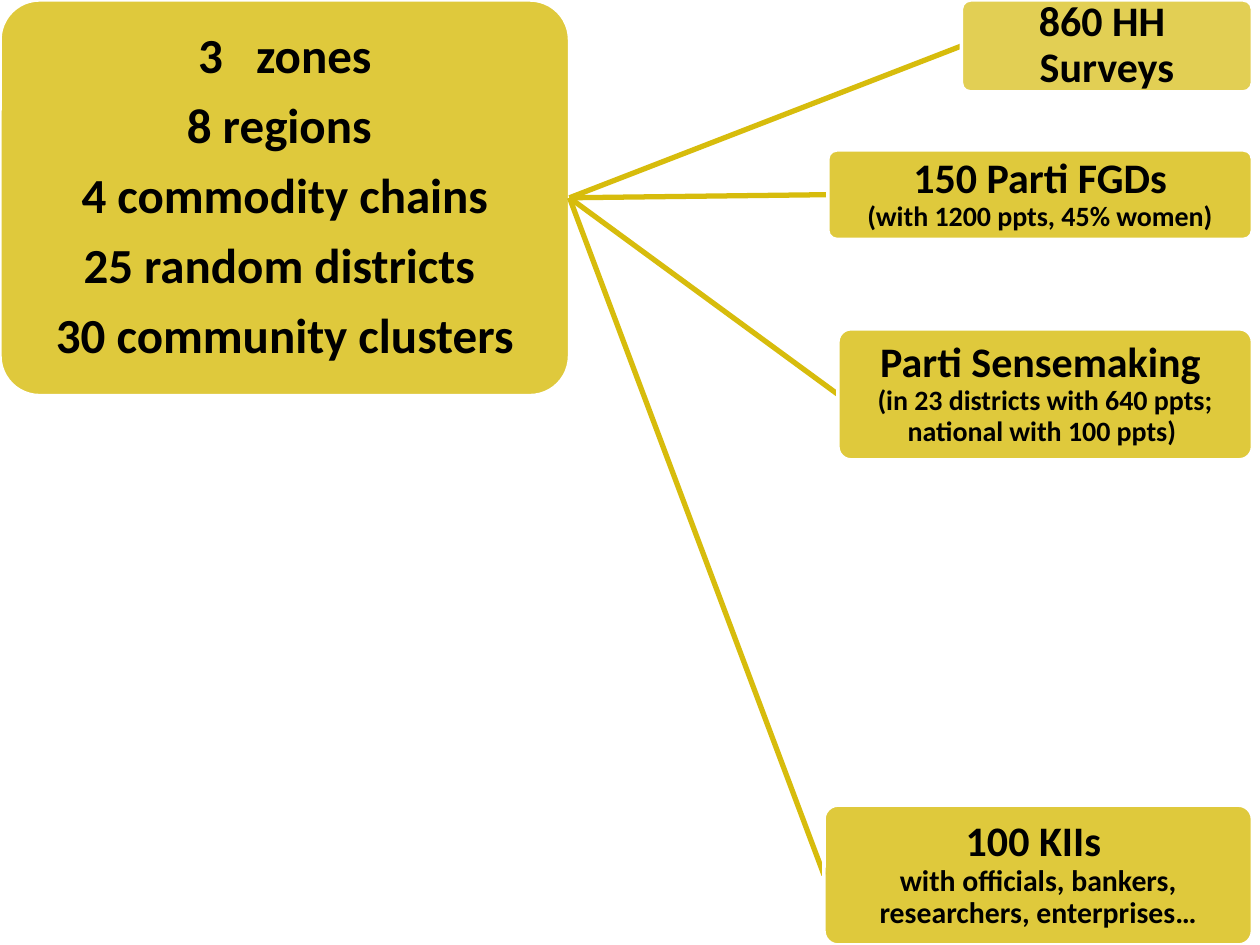
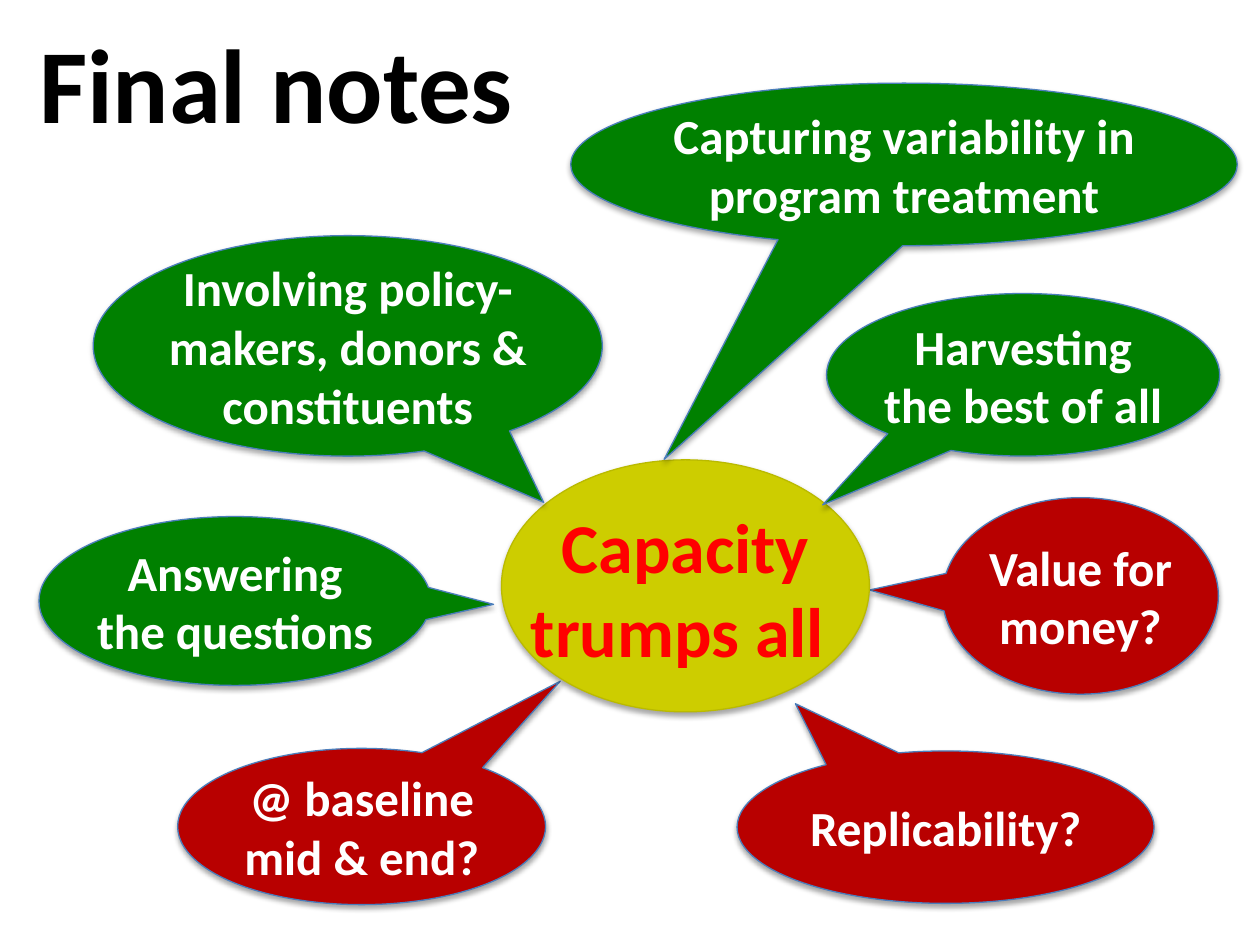
"""Builds two slides: the sampling diagram and the final notes."""
from pptx import Presentation
from pptx.dml.color import RGBColor
from pptx.enum.shapes import MSO_CONNECTOR, MSO_SHAPE
from pptx.enum.text import MSO_ANCHOR, PP_ALIGN
from pptx.oxml import parse_xml
from pptx.oxml.ns import nsdecls, qn
from pptx.util import Inches, Pt

STRAIGHT = MSO_CONNECTOR.STRAIGHT
ROUNDED, ELLIPSE = MSO_SHAPE.ROUNDED_RECTANGLE, MSO_SHAPE.OVAL
CALLOUT = MSO_SHAPE.OVAL_CALLOUT
MIDDLE, TOP = MSO_ANCHOR.MIDDLE, MSO_ANCHOR.TOP
CENTER, LEFT = PP_ALIGN.CENTER, PP_ALIGN.LEFT
FONT = "Calibri"
BLACK, WHITE, RED = "000000", "FFFFFF", "FF0000"
GOLD, GREEN, DARK_RED = "D7BC0C", "008000", "B80000"
YELLOW, OLIVE, BLUE = "CDCD00", "BABA00", "4B7EBC"
SHADOW = (f'<a:outerShdw {nsdecls("a")} blurRad="39370" dist="22860" dir="5400000" rotWithShape="0">'
          '<a:srgbClr val="000000"><a:alpha val="35000"/></a:srgbClr></a:outerShdw>')
TITLE_SHADOW = (f'<a:effectLst {nsdecls("a")}><a:outerShdw blurRad="50800" dist="38100" dir="2700000">'
                '<a:srgbClr val="000000"><a:alpha val="43000"/></a:srgbClr></a:outerShdw></a:effectLst>')


def paint(fill, colour):
    """Make a fill solid in a hex colour."""
    fill.solid()
    fill.fore_color.rgb = RGBColor.from_string(colour)


def write(frame, paragraphs, colour, margin, anchor=MIDDLE, **formats):
    """Fill a text frame with paragraphs, each a list of (line, size)."""
    settings = {"word_wrap": True, "vertical_anchor": anchor, "margin_left": margin,
                "margin_right": margin, "margin_top": margin, "margin_bottom": margin}
    for name, value in settings.items():
        setattr(frame, name, value)
    for number, lines in enumerate(paragraphs):
        para = frame.add_paragraph() if number else frame.paragraphs[0]
        for name, value in ({"alignment": CENTER} | formats).items():
            setattr(para, name, value)
        for position, (line, size) in enumerate(lines):
            if position:
                para.add_line_break()
            span = para.add_run()
            span.text = line
            for name, value in {"name": FONT, "size": Pt(size), "bold": True}.items():
                setattr(span.font, name, value)
            paint(span.font.fill, colour)


deck = Presentation()
deck.slide_width, deck.slide_height = Inches(10), Inches(7.5)

page = deck.slides.add_slide(deck.slide_layouts[6])
sample_lines = ["3   zones", "8 regions ", "4 commodity chains",
                "25 random districts ", "30 community clusters"]
boxes = [
    ((0, 0, 4.52, 3.14), 80, [[(line, 28)] for line in sample_lines]),
    ((6.57, 1.19, 3.37, 0.71), 80, [[("150 Parti FGDs", 24), ("(with 1200 ppts, 45% women)", 16)]]),
    ((7.63, 0, 2.31, 0.73), 70, [[("860 HH ", 24), ("Surveys", 24)]]),
    ((6.65, 2.61, 3.29, 1.04), 80,
     [[("Parti Sensemaking ", 24), ("(in 23 districts with 640 ppts; national with 100 ppts) ", 16)]]),
    ((6.54, 6.39, 3.4, 1.11), 80,
     [[("100 KIIs ", 24), ("with officials, bankers, researchers, enterprises…", 17)]]),
]
sample_box = None
for place, opacity, paragraphs in boxes:
    if sample_box:
        link = page.shapes.add_connector(STRAIGHT, 0, 0, 0, 0)
        paint(link.line.fill, GOLD)
        link.line.width = Pt(3)
        link.element.spPr.append(parse_xml(f'<a:effectLst {nsdecls("a")}/>'))
    box = page.shapes.add_shape(ROUNDED, *map(Inches, place))
    box.adjustments[0] = 0.1
    paint(box.fill, GOLD)
    box.element.spPr.find(qn("a:solidFill"))[0].append(
        parse_xml(f'<a:alpha {nsdecls("a")} val="{opacity * 1000}"/>'))
    paint(box.line.fill, WHITE)
    box.line.width = Pt(2)
    box.shadow.inherit = False
    write(box.text_frame, paragraphs, BLACK, Inches(0.02), line_spacing=0.9, space_after=Pt(9.8))
    if sample_box:
        link.begin_connect(sample_box, 3)
        link.end_connect(box, 1)
    else:
        sample_box = box

page = deck.slides.add_slide(deck.slide_layouts[5])
title = page.shapes.title
title.left, title.top, title.width, title.height = map(Inches, (0.21, 0.21, 4.32, 0.87))
write(title.text_frame, [[("Final notes", 60)]], BLACK, Inches(0.1), alignment=LEFT)
title.text_frame.paragraphs[0].runs[0]._r.get_or_add_rPr().insert(1, parse_xml(TITLE_SHADOW))

bubbles = [
    (CALLOUT, (7.48, 3.95, 2.19, 1.56), (-0.765, -0.03), DARK_RED, BLUE, "Value for money?"),
    (CALLOUT, (1.41, 5.94, 2.92, 1.24), (0.54, -0.93), DARK_RED, BLUE, "@ baseline mid & end?"),
    (CALLOUT, (5.85, 5.96, 3.31, 1.21), (-0.36, -0.81), DARK_RED, BLUE, "Replicability?"),
    (ELLIPSE, (3.98, 3.65, 2.92, 2), (), YELLOW, OLIVE, ""),
    (CALLOUT, (6.56, 2.33, 3.12, 1.29), (-0.51, 0.8), GREEN, BLUE, "Harvesting the best of all"),
    (CALLOUT, (0.74, 1.87, 4.04, 1.75), (0.385, 0.71), GREEN, BLUE,
     "Involving policy-makers, donors & constituents"),
    (CALLOUT, (0.31, 4.1, 3.11, 1.34), (0.66, 0.02), GREEN, BLUE, "Answering the questions"),
    (CALLOUT, (4.53, 0.66, 5.29, 1.29), (-0.36, 1.815), GREEN, BLUE,
     "Capturing variability in program treatment"),
]
for kind, place, pointer, colour, edge, words in bubbles:
    bubble = page.shapes.add_shape(kind, *map(Inches, place))
    for number, value in enumerate(pointer):
        bubble.adjustments[number] = value
    paint(bubble.fill, colour)
    paint(bubble.line.fill, edge)
    bubble.line.width = Pt(0.75)
    bubble.shadow.inherit = False
    bubble.element.spPr.find(qn("a:effectLst")).append(parse_xml(SHADOW))
    if words:
        write(bubble.text_frame, [[(words, 28)]], WHITE, 0)

message = page.shapes.add_textbox(*map(Inches, (3.98, 3.95, 2.92, 1.45)))
write(message.text_frame, [[("Capacity trumps all ", 40)]], RED, Inches(0.05), TOP)

deck.save("out.pptx")
